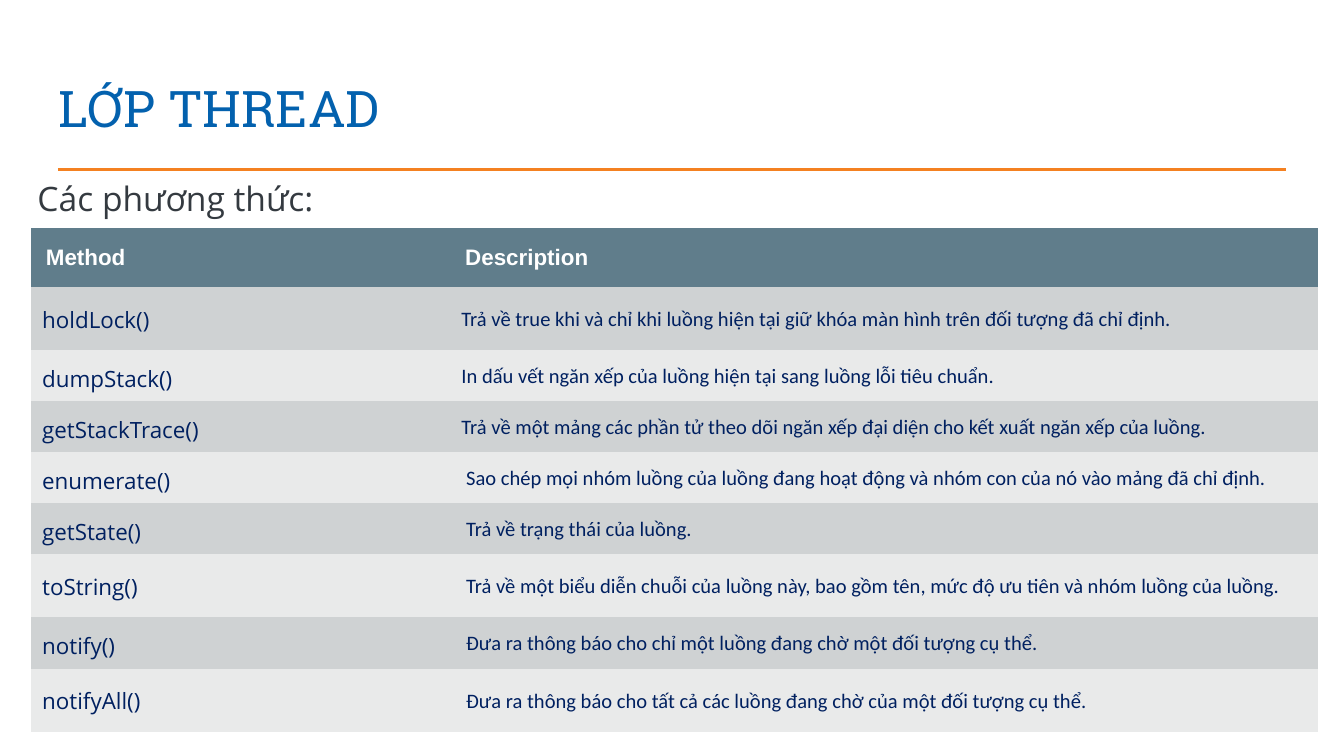
"""Builds a slide that lists the methods of the Thread class."""
from lxml.etree import SubElement
from pptx import Presentation
from pptx.dml.color import RGBColor
from pptx.enum.shapes import MSO_CONNECTOR as Connector
from pptx.enum.text import MSO_ANCHOR as Anchor, MSO_AUTO_SIZE as AutoSize, PP_ALIGN as Align
from pptx.oxml.ns import qn
from pptx.util import Pt

COLORS = {
    "title": "0361AE", "rule": "F48121", "intro": "343A40",
    "header": "607D8B", "header_text": "FFFFFF", "body_text": "002060",
    "odd": "CFD2D3", "even": "E9EAEA",
}
NO_STYLE = "{2D5ABB26-0587-4C30-8999-92F81FD0307C}"
COLUMN_WIDTHS = (224.64, 465.12)
HEADER_HEIGHT, TALL, SHORT = 29.5, 33.84, 23.04

TITLE_FONT = {"name": "Roboto Slab", "size": Pt(27), "bold": False}
INTRO_FONT = {"name": "Open Sans", "size": Pt(18), "bold": False}
HEADER_FONT = {"name": "Arial", "size": Pt(12), "bold": True}
METHOD_FONT = {"name": "Open Sans", "size": Pt(12), "bold": False}
DESCRIPTION_FONT = {"name": "Calibri", "size": Pt(11), "bold": False}

LEFT = {"alignment": Align.LEFT, "line_spacing": 1.07}
JUSTIFIED = {"alignment": Align.JUSTIFY, "line_spacing": 1.07}
SPACED = {"space_after": Pt(8)}

METHODS = (
    ("holdLock()", "Trả về true khi và chỉ khi luồng hiện tại giữ khóa màn hình trên đối tượng đã chỉ định.", TALL),
    ("dumpStack()", "In dấu vết ngăn xếp của luồng hiện tại sang luồng lỗi tiêu chuẩn.", SHORT),
    ("getStackTrace()", "Trả về một mảng các phần tử theo dõi ngăn xếp đại diện cho kết xuất ngăn xếp của luồng.", SHORT),
    ("enumerate()", " Sao chép mọi nhóm luồng của luồng đang hoạt động và nhóm con của nó vào mảng đã chỉ định.", SHORT),
    ("getState()", " Trả về trạng thái của luồng.", SHORT),
    ("toString()", " Trả về một biểu diễn chuỗi của luồng này, bao gồm tên, mức độ ưu tiên và nhóm luồng của luồng.", TALL),
    ("notify()", " Đưa ra thông báo cho chỉ một luồng đang chờ một đối tượng cụ thể.", SHORT),
    ("notifyAll()", " Đưa ra thông báo cho tất cả các luồng đang chờ của một đối tượng cụ thể.", TALL),
)


def apply(target, values):
    for name, value in values.items():
        setattr(target, name, value)


def margins(inset):
    return {f"margin_{side}": Pt(inset) for side in ("left", "top", "right", "bottom")}


def write(frame, text, font, color, layout):
    paragraph = frame.paragraphs[0]
    apply(paragraph, layout)
    run = paragraph.add_run()
    run.text = text
    apply(run.font, font)
    run.font.color.rgb = RGBColor.from_string(COLORS[color])


def add_text(slide, box, text, font, color, layout, frame_format):
    frame = slide.shapes.add_textbox(*map(Pt, box)).text_frame
    apply(frame, {"word_wrap": True, **frame_format})
    write(frame, text, font, color, layout)


def add_rule(slide, left, right, y):
    rule = slide.shapes.add_connector(Connector.STRAIGHT, Pt(left), Pt(y), Pt(right), Pt(y))
    rule.line.color.rgb = RGBColor.from_string(COLORS["rule"])
    rule.line.width = Pt(1.5)
    SubElement(rule.element.spPr, qn("a:effectLst"))


def fill_cell(cell, text, font, color, layout, fill, inset, anchor):
    apply(cell, {"vertical_anchor": anchor, **margins(inset)})
    cell.fill.solid()
    cell.fill.fore_color.rgb = RGBColor.from_string(COLORS[fill])
    write(cell.text_frame, text, font, color, layout)


def add_methods(slide, left, top):
    heights = [HEADER_HEIGHT, *(height for _, _, height in METHODS)]
    holder = slide.shapes.add_table(
        len(heights), len(COLUMN_WIDTHS), Pt(left), Pt(top), Pt(sum(COLUMN_WIDTHS)), Pt(sum(heights)))
    holder.element.xpath(".//a:tableStyleId")[0].text = NO_STYLE
    methods = holder.table
    apply(methods, {"first_row": False, "horz_banding": False})
    for column, width in zip(methods.columns, COLUMN_WIDTHS):
        column.width = Pt(width)
    for row, height in zip(methods.rows, heights):
        row.height = Pt(height)

    for column, heading in enumerate(("Method", "Description")):
        fill_cell(methods.cell(0, column), heading, HEADER_FONT, "header_text", LEFT, "header", 8, Anchor.TOP)
    for row, (method, description, _) in enumerate(METHODS, start=1):
        band = "odd" if row % 2 else "even"
        fill_cell(methods.cell(row, 0), method, METHOD_FONT, "body_text",
                  JUSTIFIED, band, 6, Anchor.MIDDLE)
        fill_cell(methods.cell(row, 1), description, DESCRIPTION_FONT, "body_text",
                  {**LEFT, **SPACED}, band, 6, Anchor.MIDDLE)


def main():
    deck = Presentation()
    apply(deck, {"slide_width": Pt(720), "slide_height": Pt(405)})
    slide = deck.slides.add_slide(deck.slide_layouts[6])
    add_rule(slide, 31, 689, 90.9)
    add_text(slide, (13, 90, 687, 29.5), "Các phương thức:", INTRO_FONT, "intro",
             {**JUSTIFIED, **SPACED}, {"auto_size": AutoSize.SHAPE_TO_FIT_TEXT})
    add_methods(slide, 16.6, 122.2)
    add_text(slide, (24.5, 35.3, 671, 45.4), "LỚP THREAD", TITLE_FONT, "title",
             {"alignment": Align.LEFT}, {"vertical_anchor": Anchor.BOTTOM, **margins(7.2)})
    deck.save("out.pptx")


if __name__ == "__main__":
    main()
